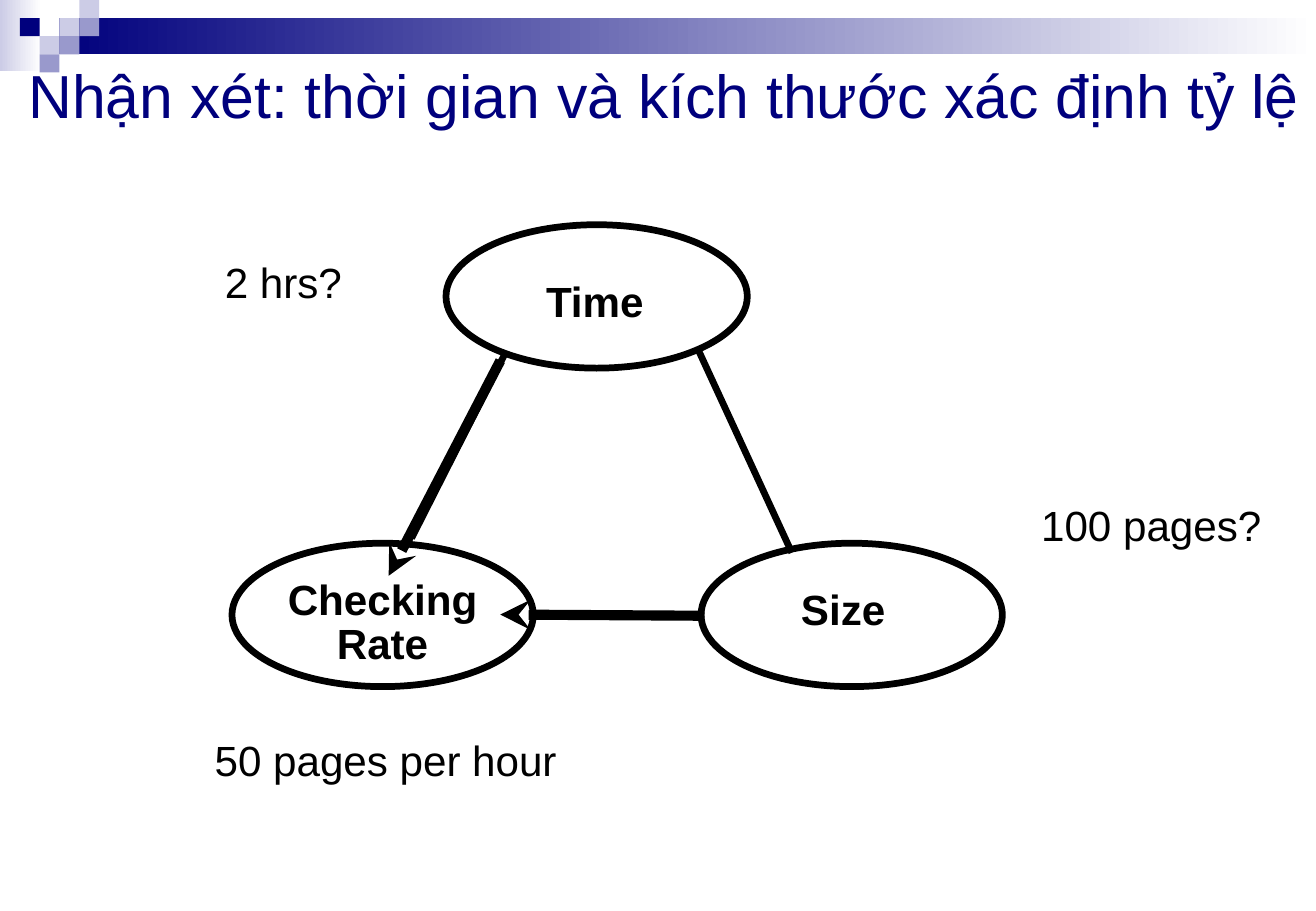
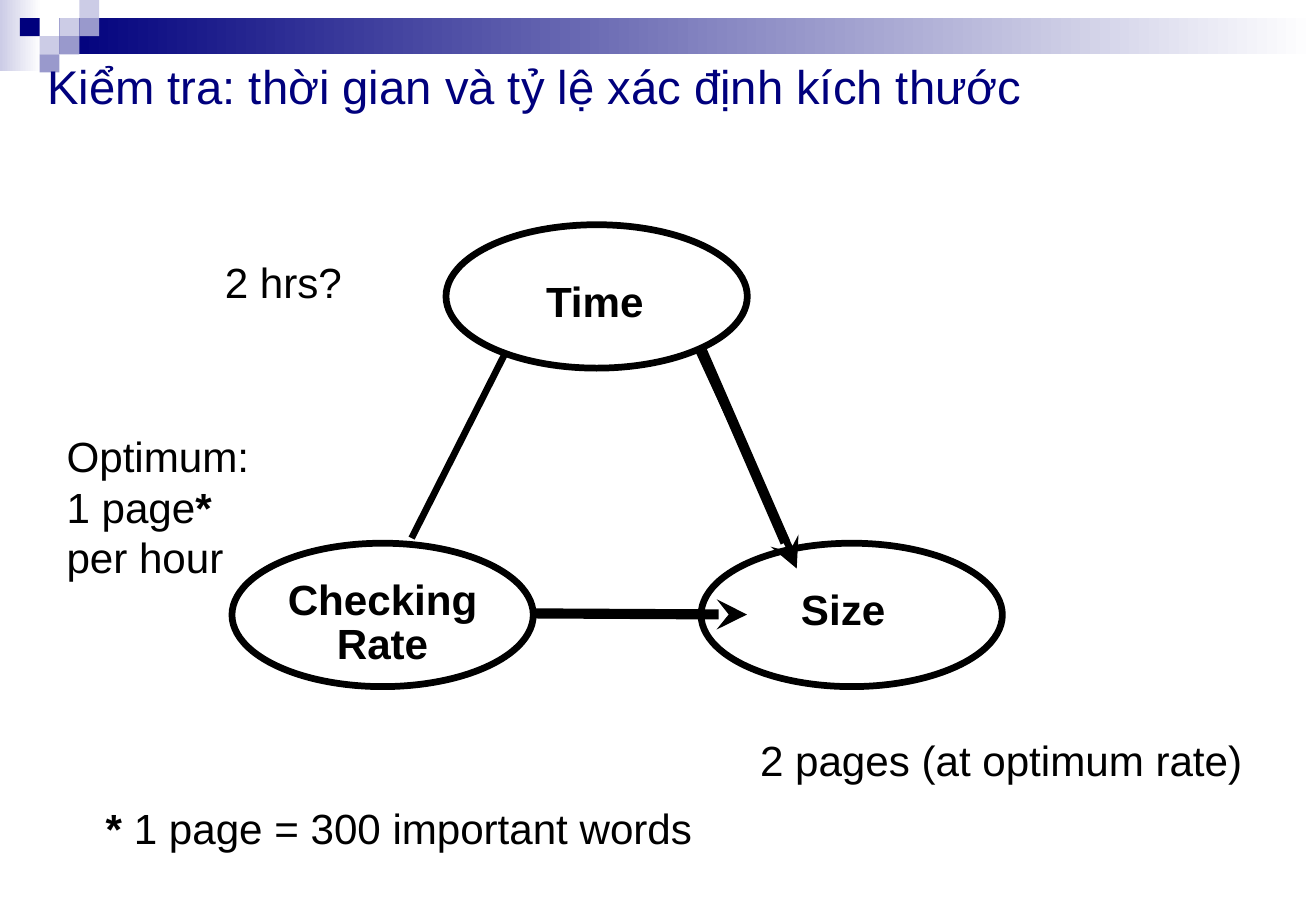
from lxml import etree
from pptx import Presentation
from pptx.dml.color import RGBColor
from pptx.enum import shapes, text
from pptx.oxml import ns
from pptx.util import Pt

NAVY, LILAC, MAUVE, WHITE, BLACK = "00007D", "CCCCE6", "9999CC", "FFFFFF", "000000"
WIDTH, HEIGHT = 780.13, 540
CELL_W, CELL_H = 11.75, 10.75
MOSAIC = [(3, 1, LILAC), (4, 0, LILAC), (4, 1, MAUVE), (2, 2, LILAC),
          (1, 1, NAVY), (3, 2, MAUVE), (2, 3, MAUVE)]
ELLIPSE_SIZE = (178.6, 85)
ELLIPSES = [(264.4, 133.2), (137.5, 322), (415.6, 322)]
SIDES = [((300.2, 208), (244, 319)),
         ((319, 364.3), (413.3, 364.3)),
         ((469.4, 327.6), (413.3, 206))]
LABELS = [("Time", (318.4, 165.1, 68.4, 30.2)),
          ("Checking\nRate", (165.6, 341.5, 122.4, 56.2)),
          ("Size", (469.6, 347.8, 60.5, 30.2))]
TIME_NOTE = ("2 hrs?", (126.2, 148.3, 84.2, 37.4))


def color(hex_code):
    return RGBColor.from_string(hex_code)


class Deck:
    font = "Arial"
    text_size = 25

    def __init__(self):
        self.prs = Presentation()
        self.prs.slide_width = Pt(WIDTH)
        self.prs.slide_height = Pt(HEIGHT)
        self.layout = self.prs.slide_layouts[5]
        self.slide = None

    def new_slide(self, heading, box, size):
        self.slide = self.prs.slides.add_slide(self.layout)
        if len(self.prs.slides) == 1:
            self.add_header_to_layout()
        title = self.slide.shapes.title
        self.place(title, box)
        frame = title.text_frame
        frame.text = heading
        self.set_frame(frame, 5, 2.2)
        frame.auto_size = text.MSO_AUTO_SIZE.NONE
        self.set_paragraph(frame.paragraphs[0], size, NAVY)

    def add_header_to_layout(self):
        """Draw the band and mosaic as a group, then move it behind the layout's text."""
        header = self.slide.shapes.add_group_shape()
        self.block(header, (0, 0, 24.5, 42), LILAC, WHITE)
        self.block(header, (3 * CELL_W, CELL_H, WIDTH - 3 * CELL_W, 2 * CELL_H), NAVY, WHITE)
        for column, row, fill in MOSAIC:
            self.block(header, (column * CELL_W, row * CELL_H, CELL_W, CELL_H), fill)
        for number, props in enumerate(header.element.iter(ns.qn("p:cNvPr")), 100):
            props.set("id", str(number))
        self.layout.shapes.element.insert(2, header.element)

    def block(self, group, box, fill, fade_to=None):
        """Add a borderless rectangle, fading to the right if fade_to is given."""
        rect = group.shapes.add_shape(shapes.MSO_SHAPE.RECTANGLE, *map(Pt, box))
        rect.shadow.inherit = False
        rect.line.fill.background()
        if fade_to is None:
            rect.fill.solid()
            rect.fill.fore_color.rgb = color(fill)
            return
        rect.fill.gradient()
        rect.fill.gradient_angle = 0
        for stop, position, shade in zip(rect.fill.gradient_stops, (0, 1), (fill, fade_to)):
            stop.position = position
            stop.color.rgb = color(shade)

    def ellipse(self, left, top):
        oval = self.slide.shapes.add_shape(
            shapes.MSO_SHAPE.OVAL, *map(Pt, (left, top, *ELLIPSE_SIZE)))
        oval.shadow.inherit = False
        oval.fill.background()
        oval.line.color.rgb = color(BLACK)
        oval.line.width = Pt(4)

    def line(self, start, end, width=4, arrow=False):
        link = self.slide.shapes.add_connector(
            shapes.MSO_CONNECTOR.STRAIGHT, *map(Pt, (*start, *end)))
        link.line.color.rgb = color(BLACK)
        link.line.width = Pt(width)
        props = link.element.spPr
        if arrow:
            etree.SubElement(props.find(ns.qn("a:ln")), ns.qn("a:tailEnd"), type="stealth")
        etree.SubElement(props, ns.qn("a:effectLst"))

    def label(self, words, box):
        frame = self.text_box(box, 5, 2.2)
        frame.text = words
        for paragraph in frame.paragraphs:
            self.set_paragraph(paragraph, self.text_size, BLACK)
            paragraph.font.bold = True
            paragraph.alignment = text.PP_ALIGN.CENTER
            paragraph.line_spacing = 0.87

    def note(self, words, box):
        """Add plain text in which each asterisk is bold."""
        frame = self.text_box(box, 7.2, 3.6)
        for index, row in enumerate(words.split("\n")):
            paragraph = frame.add_paragraph() if index else frame.paragraphs[0]
            self.set_paragraph(paragraph, self.text_size, BLACK)
            for part in row.replace("*", "\t*\t").split("\t"):
                if part:
                    run = paragraph.add_run()
                    run.text = part
                    if part == "*":
                        run.font.bold = True

    def text_box(self, box, side, edge):
        frame = self.slide.shapes.add_textbox(*map(Pt, box)).text_frame
        self.set_frame(frame, side, edge)
        frame.auto_size = text.MSO_AUTO_SIZE.SHAPE_TO_FIT_TEXT
        return frame

    def set_frame(self, frame, side, edge):
        frame.word_wrap = False
        frame.margin_left = frame.margin_right = Pt(side)
        frame.margin_top = frame.margin_bottom = Pt(edge)

    def set_paragraph(self, paragraph, size, shade):
        paragraph.alignment = text.PP_ALIGN.LEFT
        paragraph.font.name = self.font
        paragraph.font.size = Pt(size)
        paragraph.font.color.rgb = color(shade)

    def place(self, shape, box):
        shape.left, shape.top, shape.width, shape.height = map(Pt, box)

    def triangle(self, arrows, notes):
        """Draw the three linked factors, with arrows towards the derived one."""
        for corner in ELLIPSES:
            self.ellipse(*corner)
        for start, end in SIDES:
            self.line(start, end)
        for start, end in arrows:
            self.line(start, end, width=6, arrow=True)
        for words, box in LABELS:
            self.label(words, box)
        for words, box in [TIME_NOTE, *notes]:
            self.note(words, box)


def main():
    deck = Deck()
    deck.new_slide("Nhận xét: thời gian và kích thước xác định tỷ lệ",
                   (11.8, 32, 771, 47.5), 36)
    deck.triangle(
        arrows=[((296.6, 213.8), (230.4, 341.3)), ((417.6, 365), (296.6, 364.3))],
        notes=[("100 pages?", (610.1, 292.7, 145.4, 37.4)),
               ("50 pages per hour", (120.2, 431.5, 217.4, 37.4))])

    deck.new_slide("Kiểm tra: thời gian và tỷ lệ xác định kích thước",
                   (23, 31.5, 594.7, 38.2), 28)
    deck.triangle(
        arrows=[((416.2, 208), (472.3, 337)), ((316, 363.6), (442.8, 364.3))],
        notes=[("Optimum:\n1 page*\nper hour", (32.4, 251.6, 123, 97.2)),
               ("2 pages (at optimum rate)", (443.5, 431.5, 301, 37.4)),
               ("* 1 page = 300 important words", (55.6, 471.8, 363, 37.4))])
    deck.prs.save("out.pptx")


if __name__ == "__main__":
    main()
